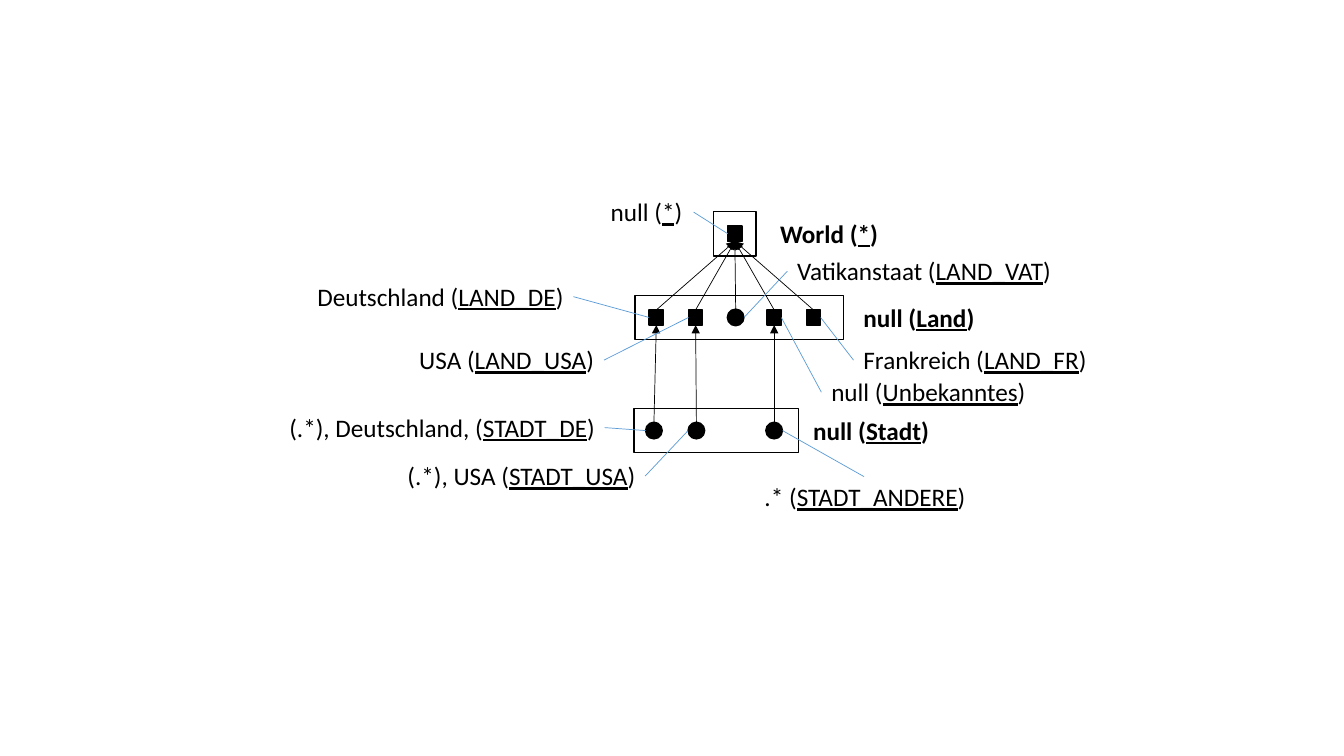
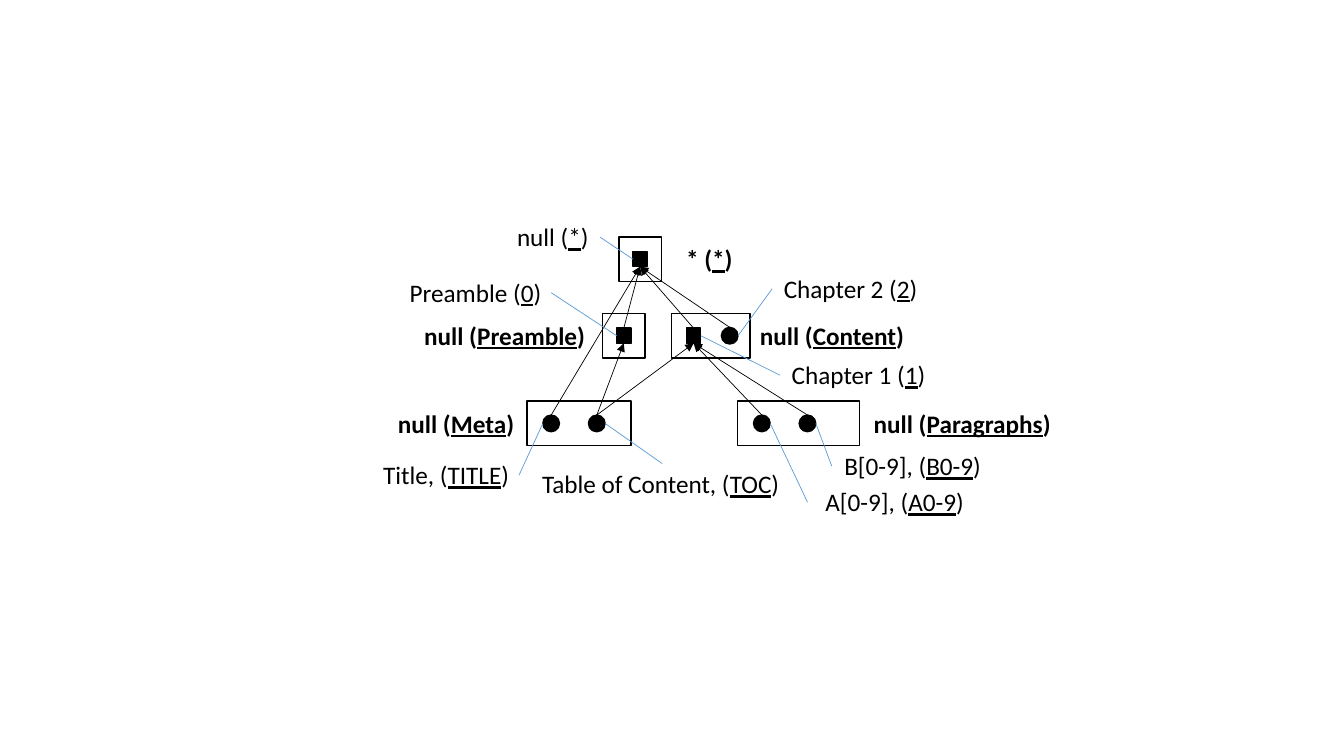
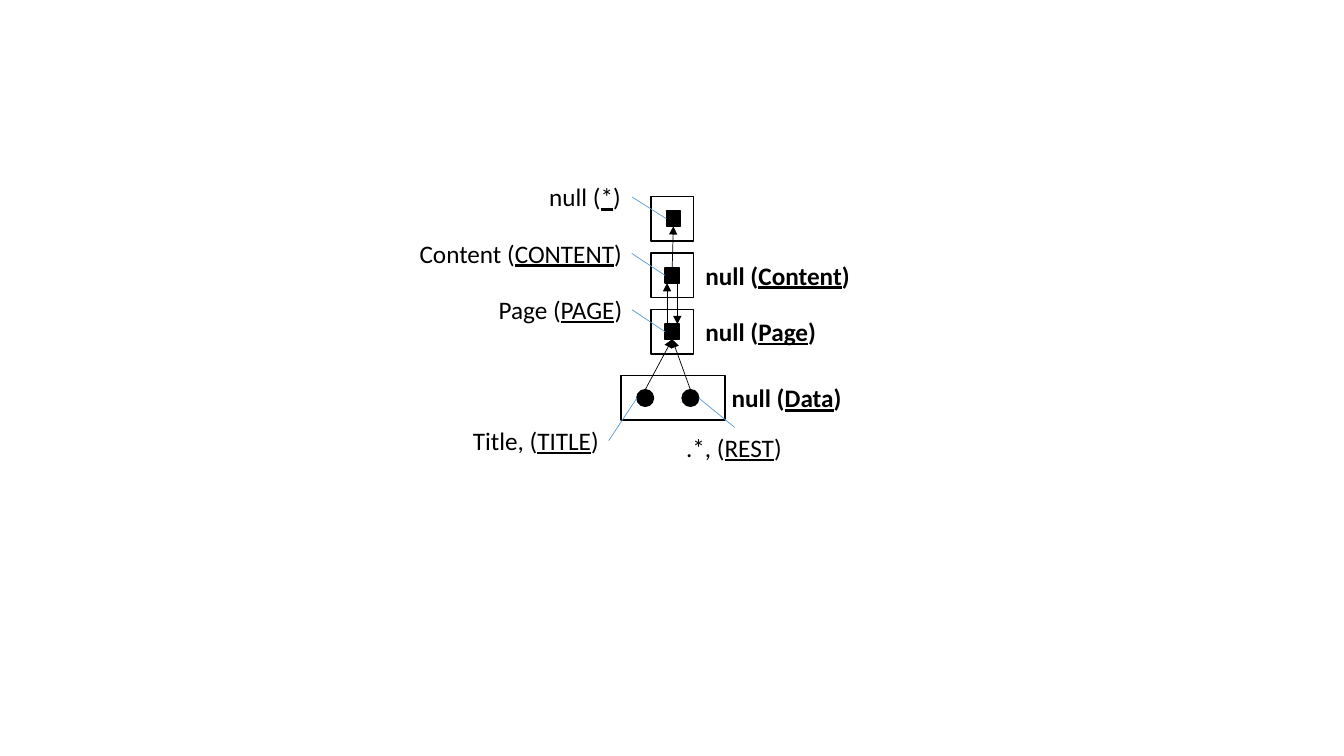
from collections import namedtuple
from itertools import chain

from lxml import etree
from pptx import Presentation
from pptx import util as u
from pptx.dml import color
from pptx.enum import shapes, text
from pptx.oxml import ns

Group = namedtuple("Group", "left top width title nodes")
Title = namedtuple("Title", "prefix key left width")
Node = namedtuple("Node", "key kind center prefix side align left top width")
Edge = namedtuple("Edge", "head tail shift", defaults=[0])

SLIDES = [
    (
        [
            Group(17.98, 5.33, 1.07, Title("World (", "*", 19.41, 3.0), [
                Node("*", "square", 18.52, "null (", "right", "left", 15.14, 4.83, 2.34),
            ]),
            Group(16.0, 7.44, 5.26, Title("null (", "Land", 21.51, 3.33), [
                Node("LAND_DE", "square", 16.54, "Deutschland (", "right", "right", 7.67, 6.96, 6.78),
                Node("LAND_USA", "square", 17.53, "USA (", "right", "right", 10.26, 8.56, 4.96),
                Node("LAND_VAT", "circle", 18.54, "Vatikanstaat (", "left", "left", 19.84, 6.32, 6.99),
                Node("Unbekanntes", "square", 19.51, "null (", "left", "left", 20.7, 9.37, 5.46),
                Node("LAND_FR", "square", 20.5, "Frankreich (", "left", "left", 21.51, 8.56, 6.2),
            ]),
            Group(15.98, 10.29, 4.14, Title("null (", "Stadt", 20.24, 3.45), [
                Node("STADT_DE", "circle", 16.48, "(.*), Deutschland, (", "right", "right", 6.93, 10.26, 8.31),
                Node("STADT_USA", "circle", 17.55, "(.*), USA (", "right", "right", 9.96, 11.48, 6.3),
                Node("STADT_ANDERE", "circle", 19.51, ".* (", "top", "right", 18.97, 12.01, 5.61),
            ]),
        ],
        [
            Edge("*", "LAND_DE"), Edge("*", "LAND_USA"), Edge("*", "LAND_VAT"),
            Edge("*", "Unbekanntes"), Edge("*", "LAND_FR"),
            Edge("LAND_DE", "STADT_DE"), Edge("LAND_USA", "STADT_USA"),
            Edge("Unbekanntes", "STADT_ANDERE"),
        ],
    ),
    (
        [
            Group(15.6, 5.97, 1.07, Title("* (", "*", 17.04, 1.7), [
                Node("*", "square", 16.13, "null (", "right", "left", 12.78, 5.46, 2.34),
            ]),
            Group(15.19, 7.9, 1.07, Title("null (", "Preamble", 10.44, 4.75), [
                Node("0", "square", 15.72, "Preamble (", "right", "right", 10.03, 6.86, 3.86),
            ]),
            Group(16.92, 7.9, 1.98, Title("null (", "Content", 18.9, 4.17), [
                Node("1", "square", 17.48, "Chapter 1 (", "left", "right", 19.66, 8.94, 3.91),
                Node("2", "circle", 18.39, "Chapter 2 (", "left", "right", 19.46, 6.76, 3.91),
            ]),
            Group(13.28, 10.11, 2.62, Title("null (", "Meta", 9.78, 3.48), [
                Node("TITLE", "circle", 13.89, "Title, (", "right", "right", 9.37, 11.46, 3.71),
                Node("TOC", "circle", 15.04, "Table of Content, (", "top", "left", 13.41, 11.68, 6.55),
            ]),
            Group(18.59, 10.11, 3.07, Title("null (", "Paragraphs", 21.77, 5.0), [
                Node("A0-9", "circle", 19.2, "A[0-9], (", "left", "right", 20.35, 12.14, 4.19),
                Node("B0-9", "circle", 20.35, "B[0-9], (", "left", "right", 20.96, 11.23, 4.01),
            ]),
        ],
        [
            Edge("*", "TITLE"), Edge("*", "0"), Edge("*", "1"), Edge("*", "2"),
            Edge("0", "TOC"), Edge("1", "TOC"), Edge("1", "A0-9"), Edge("1", "B0-9"),
        ],
    ),
    (
        [
            Group(16.41, 4.95, 1.07, None, [
                Node("*", "square", 16.97, "null (", "right", "left", 13.59, 4.45, 2.34),
            ]),
            Group(16.41, 6.38, 1.07, Title("null (", "Content", 17.53, 4.17), [
                Node("CONTENT", "square", 16.94, "Content (", "right", "right", 10.26, 5.87, 5.66),
            ]),
            Group(16.41, 7.8, 1.07, Title("null (", "Page", 17.53, 3.33), [
                Node("PAGE", "square", 16.94, "Page (", "right", "right", 12.27, 7.29, 3.66),
            ]),
            Group(15.65, 9.47, 2.62, Title("null (", "Data", 18.19, 3.3), [
                Node("TITLE", "circle", 16.26, "Title, (", "right", "right", 11.63, 10.59, 3.71),
                Node("REST", "circle", 17.4, ".*, (", "top", "left", 17.04, 10.77, 2.95),
            ]),
        ],
        [
            Edge("*", "CONTENT"), Edge("CONTENT", "PAGE", -0.13), Edge("PAGE", "CONTENT", 0.13),
            Edge("PAGE", "TITLE"), Edge("PAGE", "REST"),
        ],
    ),
]

BLACK, BLUE = "000000", "5B9BD5"
GROUP_HEIGHT, LABEL_HEIGHT = 1.12, 1.03
KINDS = {
    "square": (shapes.MSO_SHAPE.RECTANGLE, 0.36, 0.38),
    "circle": (shapes.MSO_SHAPE.OVAL, 0.42, 0.42),
}
ALIGNMENTS = {"left": text.PP_ALIGN.LEFT, "right": text.PP_ALIGN.RIGHT}


def rgb(value):
    return color.RGBColor.from_string(value)


def add_outline(slide, preset, left, top, width, height, fill=None):
    shape = slide.shapes.add_shape(preset, *map(u.Cm, (left, top, width, height)))
    shape.shadow.inherit = False
    if fill:
        shape.fill.solid()
        shape.fill.fore_color.rgb = rgb(fill)
    else:
        shape.fill.background()
    shape.line.color.rgb = rgb(BLACK)
    shape.line.width = u.Pt(1)


def add_line(slide, start, end, line_color, arrow=False):
    line = slide.shapes.add_connector(
        shapes.MSO_CONNECTOR.STRAIGHT, *map(u.Cm, (*start, *end)))
    line.line.color.rgb = rgb(line_color)
    line.line.width = u.Pt(0.5)
    if arrow:
        etree.SubElement(line.line._get_or_add_ln(), ns.qn("a:headEnd"), type="triangle")
    etree.SubElement(line._element.spPr, ns.qn("a:effectLst"))


def add_label(slide, prefix, key, left, top, width, align="left", bold=False):
    box = slide.shapes.add_textbox(*map(u.Cm, (left, top, width, LABEL_HEIGHT)))
    frame = box.text_frame
    frame.word_wrap = False
    frame.auto_size = text.MSO_AUTO_SIZE.SHAPE_TO_FIT_TEXT
    paragraph = frame.paragraphs[0]
    paragraph.alignment = ALIGNMENTS[align]
    for part in (prefix, key, ")"):
        run = paragraph.add_run()
        run.text = part
        run.font.name = "Calibri"
        run.font.size = u.Pt(18)
        run.font.bold = bold
        run.font.underline = part == key
        run.font.color.rgb = rgb(BLACK)


def add_group(slide, group):
    add_outline(slide, shapes.MSO_SHAPE.RECTANGLE,
                group.left, group.top, group.width, GROUP_HEIGHT)
    if group.title:
        title = group.title
        top = group.top + (GROUP_HEIGHT - LABEL_HEIGHT) / 2
        add_label(slide, title.prefix, title.key, title.left, top, title.width, bold=True)


def add_node(slide, node, middle):
    preset, width, height = KINDS[node.kind]
    add_outline(slide, preset, node.center - width / 2, middle - height / 2,
                width, height, BLACK)
    add_label(slide, node.prefix, node.key, node.left, node.top, node.width, node.align)
    label_middle = node.top + LABEL_HEIGHT / 2
    start = {
        "left": (node.left, label_middle),
        "right": (node.left + node.width, label_middle),
        "top": (node.left + node.width / 2, node.top),
    }[node.side]
    direction = -1 if node.side == "right" else 1
    add_line(slide, start, (node.center + direction * width / 2, middle), BLUE)


def add_edge(slide, edge, placed):
    (head, head_middle), (tail, tail_middle) = placed[edge.head], placed[edge.tail]
    direction = 1 if head_middle < tail_middle else -1
    start = (head.center + edge.shift, head_middle + direction * KINDS[head.kind][2] / 2)
    end = (tail.center + edge.shift, tail_middle - direction * KINDS[tail.kind][2] / 2)
    add_line(slide, start, end, BLACK, arrow=True)


presentation = Presentation()
presentation.slide_width = u.Cm(33.87)
presentation.slide_height = u.Cm(19.05)

for groups, edges in SLIDES:
    slide = presentation.slides.add_slide(presentation.slide_layouts[6])
    placed = {node.key: (node, group.top + GROUP_HEIGHT / 2)
              for group, node in chain.from_iterable(
                  [(group, node) for node in group.nodes] for group in groups)}
    for group in groups:
        add_group(slide, group)
    for edge in edges:
        add_edge(slide, edge, placed)
    for node, middle in placed.values():
        add_node(slide, node, middle)

presentation.save("out.pptx")
